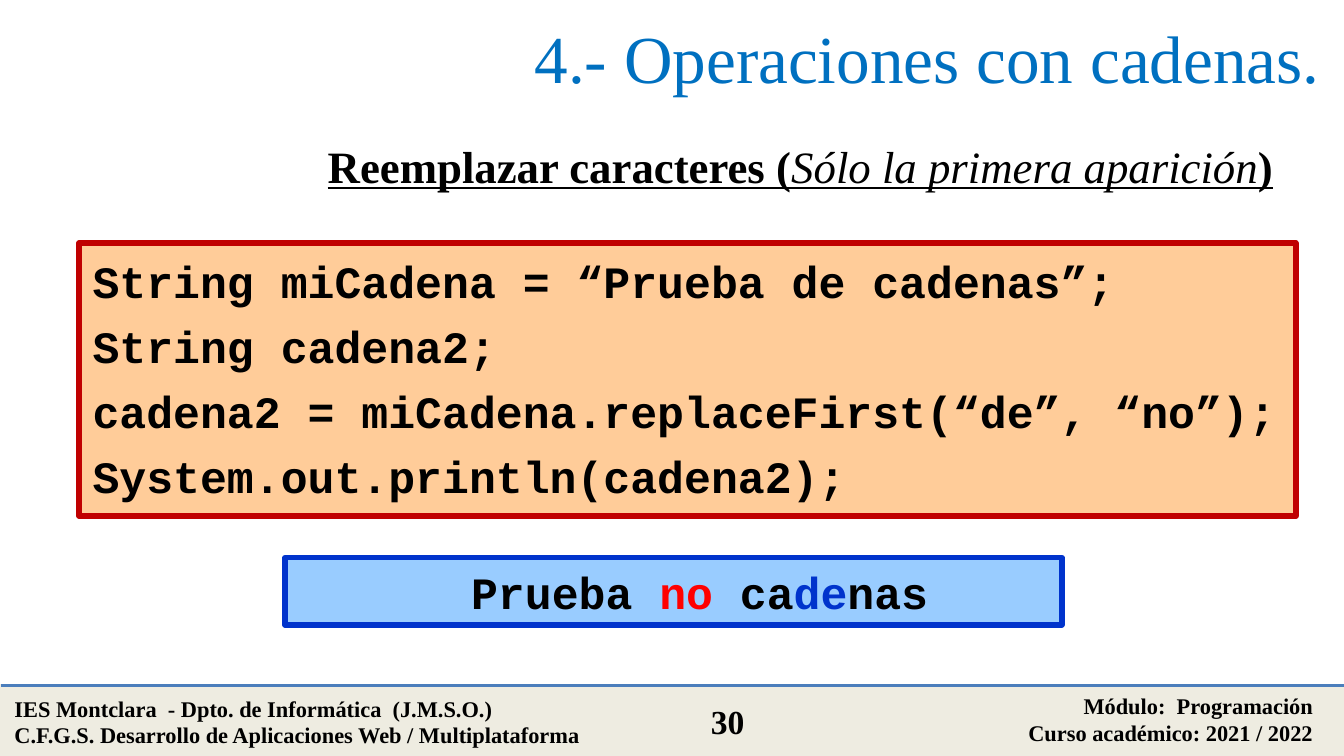
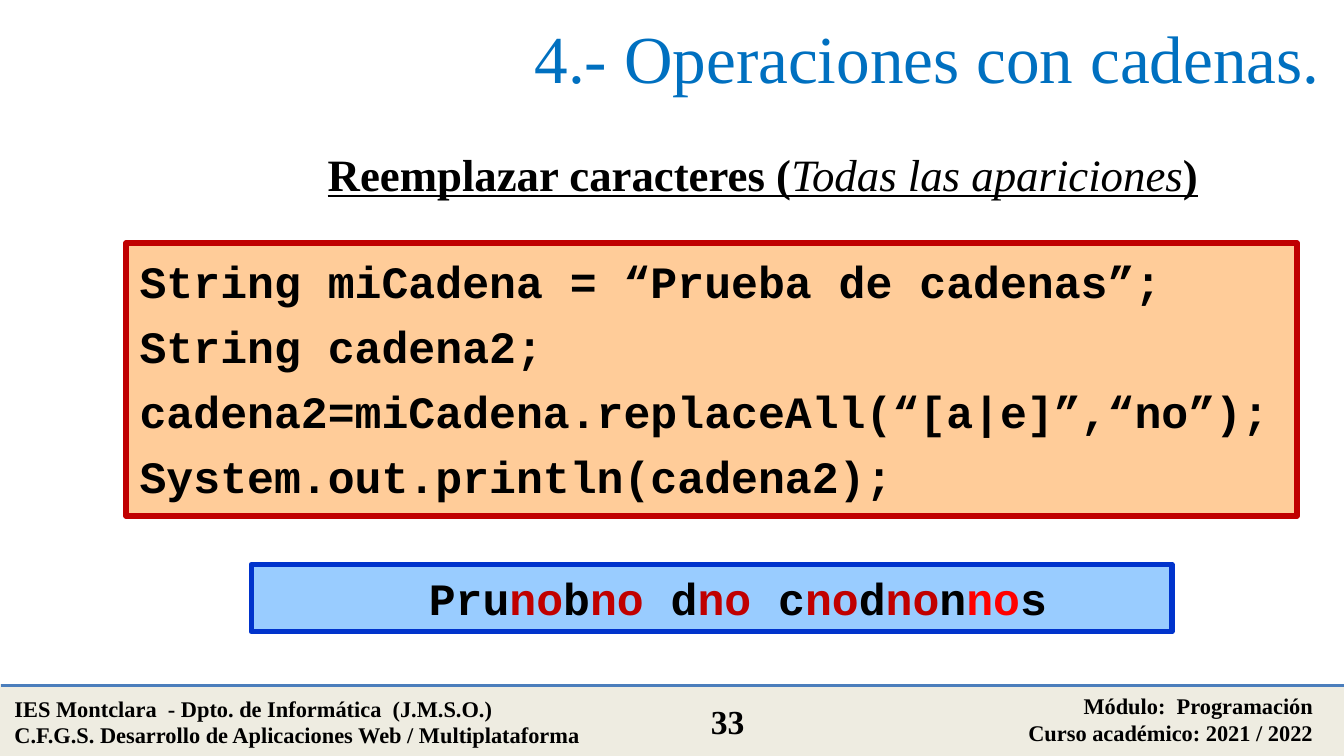
from lxml import etree
from pptx import Presentation
from pptx.dml.color import RGBColor
from pptx.enum.shapes import MSO_CONNECTOR as Connector, MSO_SHAPE as Shape
from pptx.enum.text import MSO_ANCHOR as Anchor, PP_ALIGN as Align
from pptx.oxml.ns import qn
from pptx.util import Inches, Pt

WIDTH = 10
HEIGHT = WIDTH * 9 / 16
BLACK, RED, BRIGHT_RED, BLUE = "000000", "C00000", "FF0000", "0033CC"
TITLE_BLUE, RULE_BLUE, BAND = "0070C0", "4B7EBC", "EEECE1"
CODE_FILL, OUTPUT_FILL = "FFCC99", "99CCFF"
FOOTER_BOX = (0.01, 5.1, WIDTH, 0.52)

SERIF = {"name": "Times New Roman", "color": BLACK}
TITLE = SERIF | {"size": Pt(36), "color": TITLE_BLUE}
HEADING = SERIF | {"size": Pt(24), "bold": True, "underline": True}
HEADING_DETAIL = HEADING | {"bold": False, "italic": True}
FOOTER = SERIF | {"size": Pt(12), "bold": True}
PAGE_NUMBER = FOOTER | {"size": Pt(18)}
CODE = {"name": "Courier New", "size": Pt(24), "bold": True, "color": BLACK}

SLIDES = [
    {
        "number": "30",
        "detail": "Sólo la primera aparición",
        "heading_box": (2.34, 0.98, 7.3, 0.5),
        "call": "cadena2 = miCadena.replaceFirst(“de”, “no”);",
        "code_box": (0.59, 1.81, 9.05, 2.03),
        "output": [("Prueba ", BLACK), ("no", BRIGHT_RED), (" ca", BLACK),
                   ("de", BLUE), ("nas", BLACK)],
        "output_box": (2.12, 4.15, 5.78, 0.5),
    },
    {
        "number": "33",
        "detail": "Todas las apariciones",
        "heading_box": (2.34, 1.04, 7.29, 0.5),
        "call": "cadena2=miCadena.replaceAll(“[a|e]”,“no”);",
        "code_box": (0.94, 1.81, 8.71, 2.03),
        "output": [("Pru", BLACK), ("no", RED), ("b", BLACK), ("no ", RED),
                   ("d", BLACK), ("no ", RED), ("c", BLACK), ("no", RED),
                   ("d", BLACK), ("no", RED), ("n", BLACK),
                   ("no", BRIGHT_RED), ("s", BLACK)],
        "output_box": (1.87, 4.2, 6.85, 0.5),
    },
]


def rgb(value):
    return RGBColor.from_string(value)


def to_inches(box):
    return [Inches(length) for length in box]


def write(shape, paragraphs, align=Align.LEFT, anchor=Anchor.TOP):
    """Fill a shape with paragraphs, each a list of (text, format) runs."""
    frame = shape.text_frame
    frame.word_wrap = True
    frame.vertical_anchor = anchor
    for index, runs in enumerate(paragraphs):
        paragraph = frame.add_paragraph() if index else frame.paragraphs[0]
        paragraph.alignment = align
        for text, style in runs:
            run = paragraph.add_run()
            run.text = text
            for attribute, value in style.items():
                if attribute == "color":
                    run.font.color.rgb = rgb(value)
                else:
                    setattr(run.font, attribute, value)
    return frame


def add_text(slide, box, paragraphs, **layout):
    return write(slide.shapes.add_textbox(*to_inches(box)), paragraphs, **layout)


def add_panel(slide, box, fill, line, line_width):
    panel = slide.shapes.add_shape(Shape.RECTANGLE, *to_inches(box))
    panel.shadow.inherit = False
    panel.fill.solid()
    panel.fill.fore_color.rgb = rgb(fill)
    panel.line.color.rgb = rgb(line)
    panel.line.width = Pt(line_width)
    return panel


def add_footer(slide, box, number):
    left, top, width, _ = box
    add_panel(slide, box, BAND, BAND, 2)
    rule = slide.shapes.add_connector(
        Connector.STRAIGHT, *to_inches((left, top, left + width, top)))
    rule.line.color.rgb = rgb(RULE_BLUE)
    rule.line.width = Pt(2)
    etree.SubElement(rule._element.spPr, qn("a:effectLst"))

    school = ["IES Montclara  - Dpto. de Informática  (J.M.S.O.)",
              "C.F.G.S. Desarrollo de Aplicaciones Web / Multiplataforma"]
    course = ["Módulo:  Programación", "Curso académico: 2021 / 2022"]
    add_text(slide, (left, top + 0.02, 4.66, 0.5),
             [[(line, FOOTER)] for line in school])
    add_text(slide, (left + 5.86, top, 4, 0.5),
             [[(line, FOOTER)] for line in course], align=Align.RIGHT)
    add_text(slide, (left + 5, top + 0.07, 0.81, 0.4),
             [[(number, PAGE_NUMBER)]], align=Align.CENTER)


def add_title(slide, box):
    add_text(slide, box, [[("4.- Operaciones con cadenas.", TITLE)]],
             align=Align.RIGHT, anchor=Anchor.MIDDLE)


def add_heading(slide, box, detail):
    add_text(slide, box, [[("Reemplazar caracteres (", HEADING),
                           (detail, HEADING_DETAIL), (")", HEADING)]],
             align=Align.JUSTIFY)


def add_code(slide, box, call):
    lines = ["String miCadena = “Prueba de cadenas”;", "String cadena2;",
             call, "System.out.println(cadena2);"]
    panel = add_panel(slide, box, CODE_FILL, RED, 3.25)
    frame = write(panel, [[(line, CODE)] for line in lines])
    frame.margin_top = frame.margin_bottom = Inches(0.08)
    for index, paragraph in enumerate(frame.paragraphs):
        paragraph.space_before = Pt(6 if index else 12)


def add_output(slide, box, parts):
    panel = add_panel(slide, box, OUTPUT_FILL, BLUE, 3)
    runs = [(text, CODE | {"color": color}) for text, color in parts]
    frame = write(panel, [runs], align=Align.CENTER)
    properties = frame.paragraphs[0]._p.get_or_add_pPr()
    properties.set("marL", "0")
    properties.set("indent", str(Inches(0.39)))


def build_slide(presentation, content):
    slide = presentation.slides.add_slide(presentation.slide_layouts[6])
    add_footer(slide, FOOTER_BOX, content["number"])
    add_title(slide, (1.24, 0, 8.68, 0.84))
    add_heading(slide, content["heading_box"], content["detail"])
    add_code(slide, content["code_box"], content["call"])
    add_output(slide, content["output_box"], content["output"])


def main():
    presentation = Presentation()
    presentation.slide_width = Inches(WIDTH)
    presentation.slide_height = Inches(HEIGHT)
    for content in SLIDES:
        build_slide(presentation, content)
    presentation.save("out.pptx")


if __name__ == "__main__":
    main()
